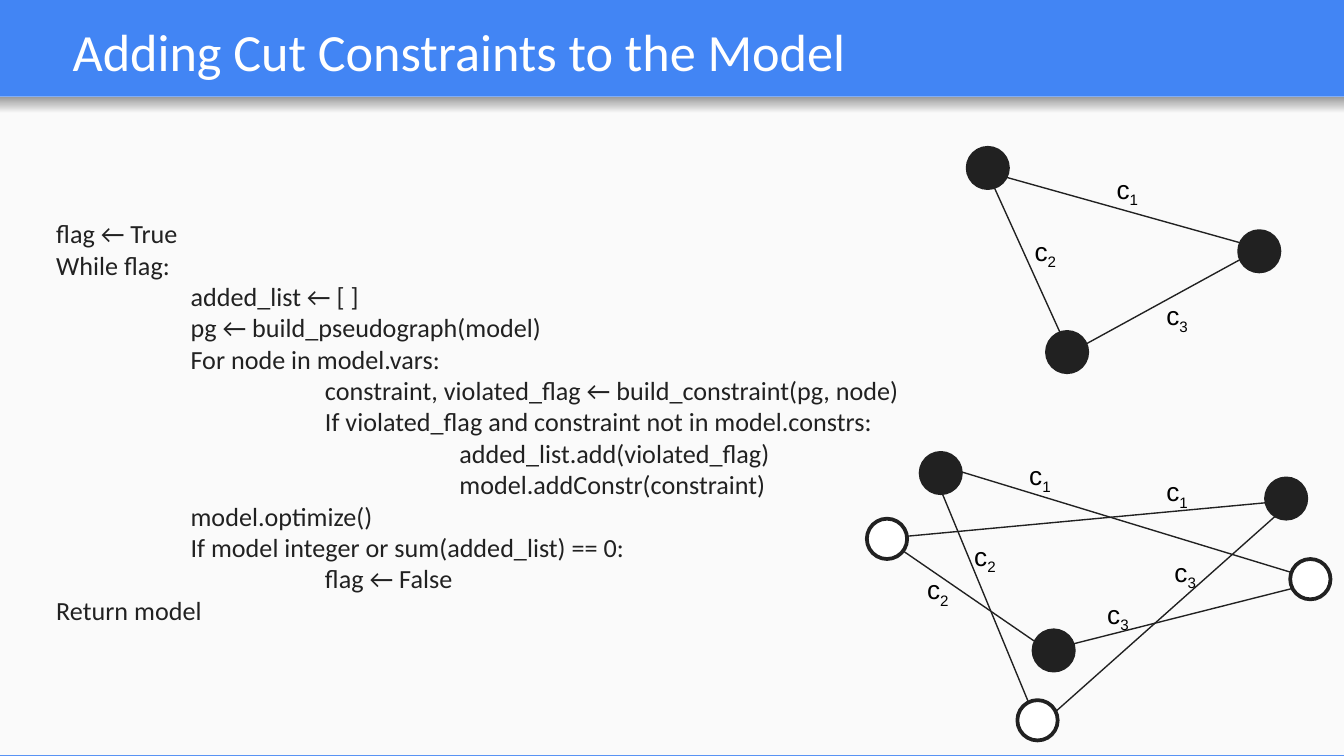
from pptx import Presentation
from pptx.dml.color import RGBColor
from pptx.enum.shapes import MSO_CONNECTOR, MSO_SHAPE
from pptx.enum.text import MSO_ANCHOR, MSO_AUTO_SIZE, PP_ALIGN
from pptx.oxml.ns import qn
from pptx.util import Inches, Pt
from lxml import etree

RECTANGLE, OVAL = MSO_SHAPE.RECTANGLE, MSO_SHAPE.OVAL
STRAIGHT = MSO_CONNECTOR.STRAIGHT
BOTTOM, LEFT, NO_FIT = MSO_ANCHOR.BOTTOM, PP_ALIGN.LEFT, MSO_AUTO_SIZE.NONE

BLUE, PAPER, INK, BLACK, WHITE = "4285F4", "FAFAFA", "212121", "000000", "FFFFFF"
SHADE_TOP, SHADE_END = "999999", "F9F9F9"
TITLE_ONLY = 5
SLIDE_WIDTH = Inches(10)
SLIDE_HEIGHT = SLIDE_WIDTH * 9 // 16
NODE_SIZE = 0.3

# (indent depth, statement)
ALGORITHM = [
    (0, "flag ← True"),
    (0, "While flag:"),
    (1, "added_list ← [ ]"),
    (1, "pg ← build_pseudograph(model)"),
    (1, "For node in model.vars:"),
    (2, "constraint, violated_flag ← build_constraint(pg, node)"),
    (2, "If violated_flag and constraint not in model.constrs:"),
    (3, "added_list.add(violated_flag)"),
    (3, "model.addConstr(constraint)"),
    (1, "model.optimize()"),
    (1, "If model integer or sum(added_list) == 0:"),
    (2, "flag ← False"),
    (0, "Return model"),
]
# (left, top, fill)
NODES = [
    (7.2, 1.1, INK), (9.22, 1.72, INK), (7.79, 2.47, INK),
    (6.85, 3.37, INK), (6.45, 3.86, WHITE), (9.42, 3.56, INK),
    (9.6, 4.16, WHITE), (7.69, 4.69, INK), (7.57, 5.21, WHITE),
]
# (start x, start y, end x, end y)
EDGES = [
    (7.89, 2.48, 7.4, 1.4), (9.24, 1.81, 7.49, 1.32), (9.61, 4.26, 7.15, 3.51),
    (9.43, 3.74, 6.75, 3.99), (7.71, 4.78, 6.72, 4.1), (7.65, 5.22, 7.01, 3.67),
    (9.23, 1.93, 8.08, 2.56), (9.61, 4.38, 7.99, 4.79), (7.86, 5.29, 9.49, 3.84),
]
# edge cost index -> label positions
COST_LABELS = {
    "1": [(8.21, 1.24), (8.58, 3.49), (7.56, 3.37)],
    "2": [(7.6, 1.7), (7.15, 3.97), (6.8, 4.22)],
    "3": [(8.58, 2.18), (8.14, 4.4), (8.64, 4.09)],
}


def rgb(value):
    return RGBColor.from_string(value)


def add_text(paragraph, text, *, font="Calibri", size=14, color=INK, baseline=0):
    run = paragraph.add_run()
    run.text = text
    run.font.name = font
    run.font.size = Pt(size)
    run.font.color.rgb = rgb(color)
    if baseline:
        run.font._element.set("baseline", str(baseline * 1000))


def set_tab_stops(paragraph, count):
    """Place one left tab stop at every inch."""
    tab_list = etree.SubElement(paragraph._p.get_or_add_pPr(), qn("a:tabLst"))
    for inch in range(1, count + 1):
        etree.SubElement(tab_list, qn("a:tab"), pos=str(Inches(inch)), algn="l")


class SlideBuilder:
    def __init__(self, slide):
        self.slide = slide
        self.shapes = slide.shapes

    def background(self, color):
        fill = self.slide.background.fill
        fill.solid()
        fill.fore_color.rgb = rgb(color)

    def shape(self, kind, left, top, width, height, fill, outline=None):
        shape = self.shapes.add_shape(
            kind, Inches(left), Inches(top), Inches(width), Inches(height))
        shape.shadow.inherit = False
        shape.fill.solid()
        shape.fill.fore_color.rgb = rgb(fill)
        if outline:
            shape.line.color.rgb = rgb(outline)
            shape.line.width = Pt(2)
        else:
            shape.line.fill.background()
        return shape

    def shade(self, left, top, width, height):
        """Add a band that fades downwards into the page."""
        band = self.shape(RECTANGLE, left, top, width, height, SHADE_TOP)
        band.fill.gradient()
        band.fill.gradient_angle = 270
        for stop, color in zip(band.fill.gradient_stops, (SHADE_TOP, SHADE_END)):
            stop.color.rgb = rgb(color)

    def title(self, text):
        title = self.shapes.title
        title.left, title.top = Inches(0.44), Inches(0)
        title.width, title.height = Inches(8.82), Inches(0.71)
        frame = title.text_frame
        frame.auto_size = NO_FIT
        frame.vertical_anchor = BOTTOM
        frame.margin_top = frame.margin_bottom = Inches(0.1)
        frame.paragraphs[0].alignment = LEFT
        add_text(frame.paragraphs[0], text, size=28, color=WHITE)

    def text_box(self, left, top, width, height, wrap):
        box = self.shapes.add_textbox(
            Inches(left), Inches(top), Inches(width), Inches(height))
        box.text_frame.word_wrap = wrap
        return box.text_frame

    def code(self, lines):
        frame = self.text_box(0.32, 1.57, 6.56, 3.6, wrap=True)
        for index, (depth, statement) in enumerate(lines):
            paragraph = frame.add_paragraph() if index else frame.paragraphs[0]
            set_tab_stops(paragraph, 3)
            add_text(paragraph, "\t" * depth + statement)

    def node(self, left, top, fill):
        self.shape(OVAL, left, top, NODE_SIZE, NODE_SIZE, fill, outline=INK)

    def edge(self, *ends):
        edge = self.shapes.add_connector(STRAIGHT, *map(Inches, ends))
        edge.line.color.rgb = rgb(INK)
        edge.line.width = Pt(0.75)
        etree.SubElement(edge._element.spPr, qn("a:effectLst"))

    def cost_label(self, left, top, index):
        paragraph = self.text_box(left, top, 0.36, 0.37, wrap=False).paragraphs[0]
        add_text(paragraph, "c", font="Arial", color=BLACK)
        add_text(paragraph, index, font="Arial", color=BLACK, baseline=-25)


def main():
    deck = Presentation()
    deck.slide_width, deck.slide_height = SLIDE_WIDTH, SLIDE_HEIGHT
    builder = SlideBuilder(deck.slides.add_slide(deck.slide_layouts[TITLE_ONLY]))

    builder.background(BLUE)
    builder.shape(RECTANGLE, 0, 0.72, 10, 4.9, PAPER)
    builder.shade(0, 0.72, 10, 0.12)
    builder.title("Adding Cut Constraints to the Model")
    builder.code(ALGORITHM)
    for node in NODES:
        builder.node(*node)
    for edge in EDGES:
        builder.edge(*edge)
    for index, positions in COST_LABELS.items():
        for left, top in positions:
            builder.cost_label(left, top, index)

    deck.save("out.pptx")


if __name__ == "__main__":
    main()
